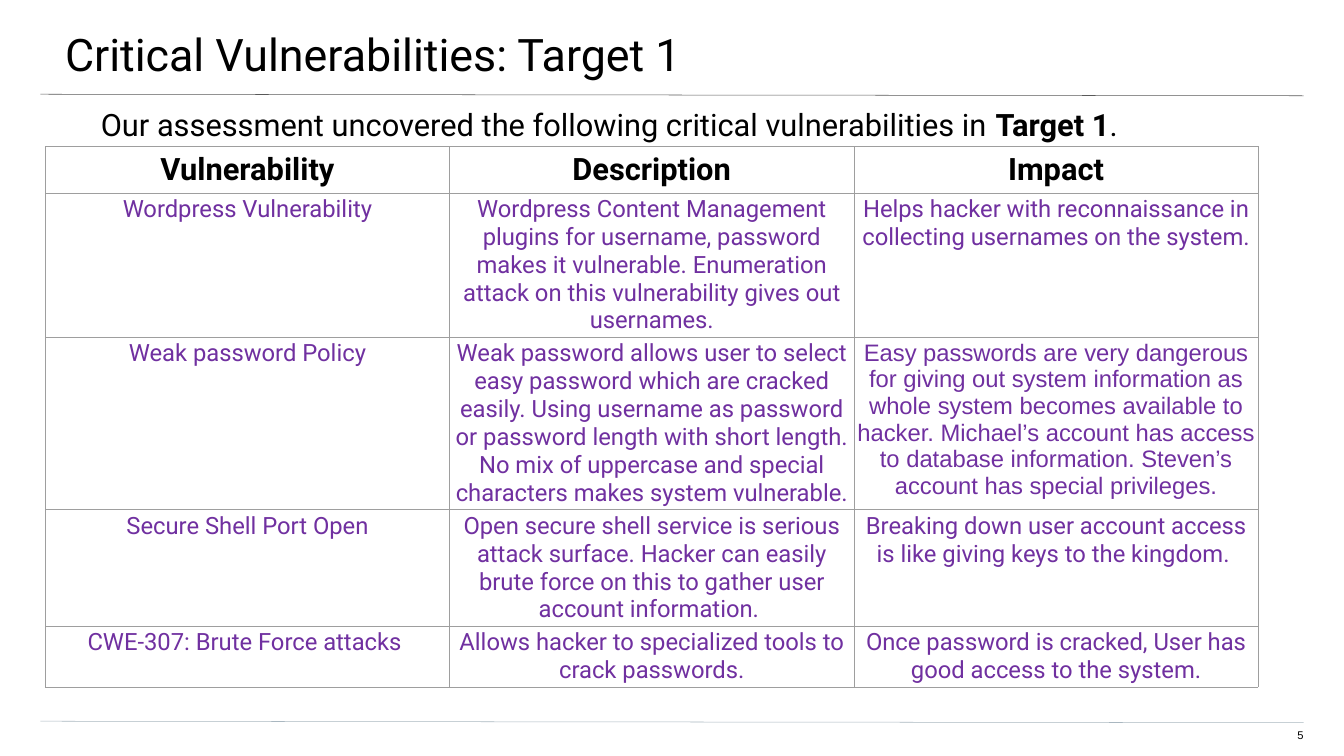
from lxml import etree
from pptx import Presentation
from pptx import util as u
from pptx.dml.color import RGBColor
from pptx.enum import shapes, text
from pptx.oxml.ns import qn

BLACK, PURPLE, GREY = "000000", "7030A0", "9E9E9E"
SIDES = ("left", "top", "right", "bottom")
HEADS = ["Vulnerability", "Description", "Impact"]
ROWS = [
    ["Wordpress Vulnerability",
     "Wordpress Content Management plugins for username, password makes it "
     "vulnerable. Enumeration attack on this vulnerability gives out usernames.",
     "Helps hacker with reconnaissance in collecting usernames on the system."],
    ["Weak password Policy",
     "Weak password allows user to select easy password which are cracked "
     "easily. Using username as password or password length with short length. "
     "No mix of uppercase and special characters makes system vulnerable.",
     "Easy passwords are very dangerous for giving out system information as "
     "whole system becomes available to hacker. Michael’s account has access "
     "to database information. Steven’s account has special privileges."],
    ["Secure Shell Port Open",
     "Open secure shell service is serious attack surface. Hacker can easily "
     "brute force on this to gather user account information. ",
     "Breaking down user account access is like giving keys to the kingdom. "],
    ["CWE-307: Brute Force attacks ",
     "Allows hacker to specialized tools to crack passwords.",
     "Once password is cracked, User has good access to the system."],
]
WIDE, HIGH = 8.02, 0.42


def color(code):
    """Turn a hex string into a colour."""
    return RGBColor.from_string(code)


def assign(obj, values):
    """Set each named attribute on an object."""
    for name, value in values.items():
        setattr(obj, name, value)


def pad(obj, sizes):
    """Set the four margins in inches."""
    assign(obj, {f"margin_{s}": u.Inches(n) for s, n in zip(SIDES, sizes)})


def write(para, words, size, bold=False, code=BLACK, face="Roboto"):
    """Add one formatted run to a paragraph."""
    run = para.add_run()
    run.text = words
    assign(run.font, {"size": u.Pt(size), "bold": bold, "name": face})
    run.font.color.rgb = color(code)


def add_text(slide, box, sizes, align=text.PP_ALIGN.LEFT):
    """Add a wrapped text box and return its paragraph."""
    frame = slide.shapes.add_textbox(*map(u.Inches, box)).text_frame
    assign(frame, {"word_wrap": True, "auto_size": text.MSO_AUTO_SIZE.NONE,
                   "vertical_anchor": text.MSO_ANCHOR.TOP})
    pad(frame, sizes)
    para = frame.paragraphs[0]
    para.alignment = align
    return para


def add_rule(slide, top, code):
    """Draw a thin line across the slide."""
    ends = map(u.Inches, (0.8, top, 25.86, top + 0.03))
    line = slide.shapes.add_connector(shapes.MSO_CONNECTOR.STRAIGHT, *ends)
    line.line.color.rgb = color(code)
    line.line.width = u.Pt(0.75)
    etree.SubElement(line._element.spPr, qn("a:effectLst"))


def add_edges(cell):
    """Give a cell thin grey borders ahead of its fill."""
    props = cell._tc.get_or_add_tcPr()
    for spot, side in enumerate("LRTB"):
        edge = etree.Element(qn(f"a:ln{side}"), w=str(u.Pt(0.75)))
        fill = etree.SubElement(edge, qn("a:solidFill"))
        etree.SubElement(fill, qn("a:srgbClr"), val=GREY)
        props.insert(spot, edge)


def fill_cell(cell, words, inset, **style):
    """Fill a cell with centred text."""
    cell.fill.background()
    add_edges(cell)
    pad(cell, [inset] * 4)
    para = cell.text_frame.paragraphs[0]
    para.alignment = text.PP_ALIGN.CENTER
    write(para, words, **style)


def add_grid(slide):
    """Add the table of vulnerabilities, whose rows grow with their text."""
    count = len(ROWS) + 1
    box = map(u.Inches, (0.9, 2.91, WIDE * len(HEADS), HIGH * count))
    grid = slide.shapes.add_table(count, len(HEADS), *box).table
    assign(grid, {"first_row": False, "horz_banding": False})
    for c, words in enumerate(HEADS):
        fill_cell(grid.cell(0, c), words, 0.1, size=44, bold=True)
    for r, row in enumerate(ROWS, 1):
        for c, words in enumerate(row):
            face = "Arial" if (r, c) == (2, 2) else "Roboto"
            fill_cell(grid.cell(r, c), words, 0.05, size=34, code=PURPLE, face=face)


def main():
    """Build and save the slide."""
    deck = Presentation()
    assign(deck, {"slide_width": u.Inches(26.66), "slide_height": u.Inches(15)})
    slide = deck.slides.add_slide(deck.slide_layouts[6])
    add_rule(slide, 1.87, "595959")
    add_rule(slide, 14.31, "A9B7C0")
    title = add_text(slide, (-0.04, 0, 26.73, 1.56), (1.33, 0.53, 0.8, 0.27))
    write(title, "Critical Vulnerabilities: Target 1", 64)
    page = add_text(slide, (25.1, 14.46, 0.76, 0.31), (0, 0, 0, 0),
                    text.PP_ALIGN.RIGHT)
    write(page, "5", 16, face="Arial")
    lead = add_text(slide, (0.67, 2.1, 25.09, 10.79), (1.33, 0, 1.33, 0))
    write(lead, "Our assessment uncovered the following critical vulnerabilities in ", 44)
    write(lead, "Target 1", 44, bold=True)
    write(lead, ".", 44)
    add_grid(slide)
    deck.save("out.pptx")


if __name__ == "__main__":
    main()
